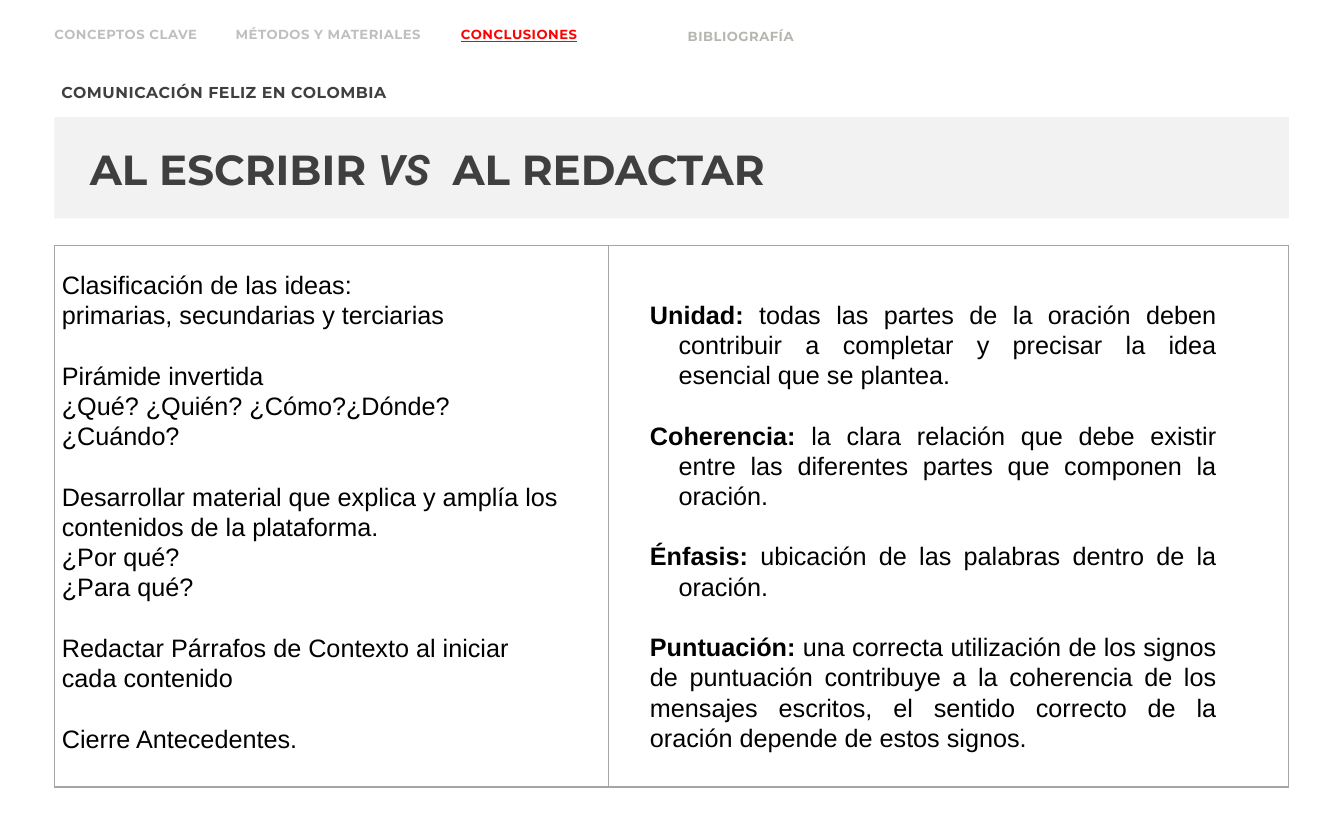
from pptx import Presentation
from pptx.util import Cm, Pt
from pptx.dml.color import RGBColor
from pptx.enum.shapes import MSO_SHAPE
from pptx.enum.text import MSO_ANCHOR, PP_ALIGN
from pptx.oxml import parse_xml
from pptx.oxml.ns import nsdecls

RECT = MSO_SHAPE.RECTANGLE
TOP, MIDDLE, BOTTOM = MSO_ANCHOR.TOP, MSO_ANCHOR.MIDDLE, MSO_ANCHOR.BOTTOM
LEFT, JUSTIFY = PP_ALIGN.LEFT, PP_ALIGN.JUSTIFY

COLORS = {"dark": "3F3F3F", "nav": "BFBFBF", "red": "FF0000", "olive": "B6B6B1",
          "band": "F2F2F2", "black": "000000", "grid": "A5A5A5"}

HEAD = {"name": "Montserrat", "size": Pt(40), "bold": True}
LABEL = HEAD | {"size": Pt(15)}
NAV = HEAD | {"size": Pt(12.5)}
BODY = {"name": "Arial", "size": Pt(24), "bold": False}

deck = Presentation()
deck.slide_width, deck.slide_height = Cm(45.16), Cm(28.22)
slide = deck.slides.add_slide(deck.slide_layouts[6])


def set_frame(shape, anchor, insets):
    """Prepare a text frame; insets are left, top, right, bottom in cm."""
    frame = shape.text_frame
    frame.word_wrap = True
    frame.vertical_anchor = anchor
    for side, inset in zip(("left", "top", "right", "bottom"), insets):
        setattr(frame, f"margin_{side}", Cm(inset))
    return frame


def add_run(para, text, style, color, track=0):
    """Add one run; track is letter spacing in points."""
    run = para.add_run()
    run.text = text
    for key, value in style.items():
        setattr(run.font, key, value)
    run.font.color.rgb = RGBColor.from_string(COLORS[color])
    if track:
        run.font._element.set("spc", str(int(track * 100)))


# Title band
band = slide.shapes.add_shape(RECT, Cm(1.83), Cm(3.94), Cm(41.48), Cm(3.4))
band.shadow.inherit = False
band.fill.solid()
band.fill.fore_color.rgb = RGBColor.from_string(COLORS["band"])
band.line.fill.background()
para = set_frame(band, MIDDLE, (1.19, 0.79, 0.99, 0.79)).paragraphs[0]
para.alignment = LEFT
para.line_spacing = Pt(50)
add_run(para, "AL ESCRIBIR ", HEAD, "dark")
add_run(para, "VS", HEAD | {"name": "Roboto", "italic": True}, "dark")
add_run(para, " ", HEAD, "dark", 10.5)
add_run(para, "AL REDACTAR", HEAD, "dark")

# Navigation and section label: text, left, top, width, style, color
labels = [
    ("CONCEPTOS CLAVE", 1.83, 0.74, 4.88, NAV, "nav"),
    ("MÉTODOS Y MATERIALES", 7.92, 0.74, 6.55, NAV, "nav"),
    ("CONCLUSIONES", 15.49, 0.74, 6.55, NAV | {"underline": True}, "red"),
    ("BIBLIOGRAFÍA", 23.11, 0.81, 8.25, NAV, "olive"),
    ("COMUNICACIÓN FELIZ EN COLOMBIA", 2.06, 2.72, 40, LABEL, "dark"),
]
for text, left, top, width, style, color in labels:
    box = slide.shapes.add_textbox(Cm(left), Cm(top), Cm(width), Cm(0.68))
    para = set_frame(box, BOTTOM, (0, 0, 0, 0)).paragraphs[0]
    para.line_spacing = Pt(20)
    add_run(para, text, style, color, 0.5)

# Body columns: each topic is a list of paragraphs, each a (bold, plain) pair
writing = [
    [("", "Clasificación de las ideas:"), ("", "primarias, secundarias y terciarias")],
    [("", "Pirámide invertida"), ("", "¿Qué? ¿Quién? ¿Cómo?¿Dónde? ¿Cuándo?")],
    [("", "Desarrollar material que explica y amplía los contenidos de la plataforma."),
     ("", "¿Por qué?"), ("", "¿Para qué?")],
    [("", "Redactar Párrafos de Contexto al iniciar cada contenido")],
    [("", "Cierre Antecedentes.")],
]
drafting = [
    [("Unidad:", " todas las partes de la oración deben contribuir a completar "
      "y precisar la idea esencial que se plantea.")],
    [("Coherencia:", " la clara relación que debe existir entre las diferentes "
      "partes que componen la oración.")],
    [("Énfasis:", " ubicación de las palabras dentro de la oración.")],
    [("Puntuación:", " una correcta utilización de los signos de puntuación "
      "contribuye a la coherencia de los mensajes escritos, el sentido correcto "
      "de la oración depende de estos signos.")],
]
columns = [
    (writing, 1.83, 8.92, 17.58, LEFT, 0),
    (drafting, 21.59, 9.91, 19.53, JUSTIFY, 3),  # the first 3 topics hang
]
for topics, left, top, width, align, hung in columns:
    box = slide.shapes.add_textbox(Cm(left), Cm(top), Cm(width), Cm(25.58 - top))
    frame = set_frame(box, TOP, (0.25, 0.13, 0.25, 0.13))
    para = None
    for order, topic in enumerate(topics):
        for line, (lead, rest) in enumerate(topic):
            para = frame.add_paragraph() if para else frame.paragraphs[0]
            para.alignment = align
            para.line_spacing = Pt(28.8)
            if order and not line:
                para.space_before = Pt(28.8)
            if order < hung:
                props = para._p.get_or_add_pPr()
                props.set("marL", str(Cm(0.96)))
                props.set("indent", str(-Cm(0.96)))
            if lead:
                add_run(para, lead, BODY | {"bold": True}, "black")
            add_run(para, rest, BODY, "black")

# Two-column table frame
table = slide.shapes.add_table(1, 2, Cm(1.83), Cm(8.23), Cm(41.48), Cm(18.21)).table
table.first_row = table.horz_banding = False
for column, width in zip(table.columns, (18.62, 22.86)):
    column.width = Cm(width)
for cell in table.iter_cells():
    cell.fill.background()
    props = cell._tc.get_or_add_tcPr()
    for spot, (side, weight) in enumerate((("L", 1), ("R", 1), ("T", 1), ("B", 2))):
        props.insert(spot, parse_xml(
            f'<a:ln{side} {nsdecls("a")} w="{Pt(weight)}"><a:solidFill>'
            f'<a:srgbClr val="{COLORS["grid"]}"/></a:solidFill></a:ln{side}>'))

deck.save("out.pptx")
